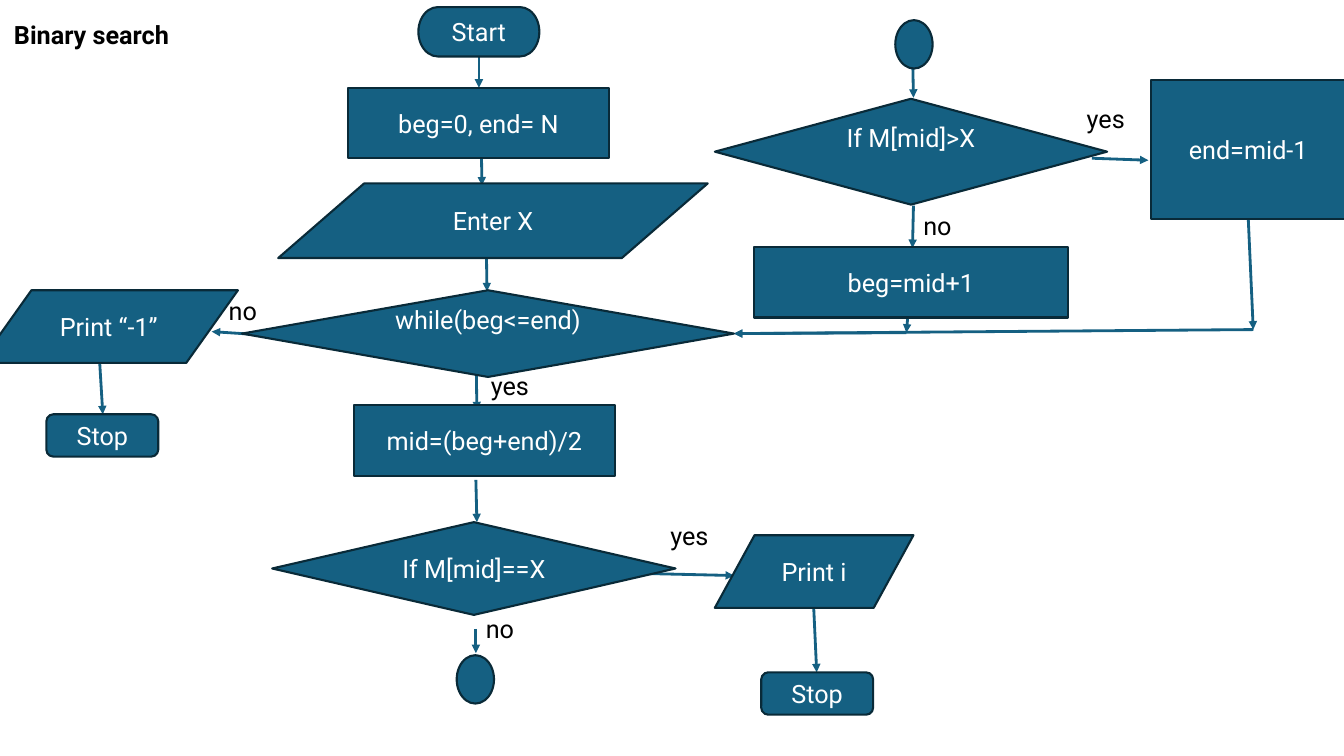
"""Build a one-slide flowchart of the binary search algorithm."""
from dataclasses import dataclass

from lxml.etree import SubElement
from pptx import Presentation
from pptx.dml.color import RGBColor
from pptx.enum.shapes import MSO_CONNECTOR, MSO_SHAPE as Preset
from pptx.enum.text import MSO_ANCHOR as Anchor, MSO_AUTO_SIZE, PP_ALIGN as Align
from pptx.oxml.ns import qn
from pptx.slide import Slide
from pptx.text.text import TextFrame
from pptx.util import Inches, Pt

FONT = "Roboto"
TEAL, DARK_TEAL, WHITE, BLACK = "156082", "092A38", "FFFFFF", "000000"


@dataclass(frozen=True)
class Node:
    preset: Preset
    left: float
    top: float
    width: float
    height: float
    text: str = ""
    bottom_inset: float = 0.05


@dataclass(frozen=True)
class Arrow:
    x1: float
    y1: float
    x2: float
    y2: float


@dataclass(frozen=True)
class Label:
    text: str
    left: float
    top: float
    width: float = 3.1
    height: float = 0.4
    bold: bool = False


LIFTED = 0.34
STOP_SIZE = (1.11, 0.42)
STEP_SIZE = (2.59, 0.7)
JOINT_SIZE = (0.37, 0.48)

NODES = [
    Node(Preset.FLOWCHART_TERMINATOR, 4.15, 0.07, 1.2, 0.49, "Start"),
    Node(Preset.FLOWCHART_CONNECTOR, 8.88, 0.2, *JOINT_SIZE),
    Node(Preset.FLOWCHART_ALTERNATE_PROCESS, 7.55, 6.67, *STOP_SIZE, "Stop"),
    Node(Preset.FLOWCHART_DECISION, 2.7, 5.18, 4, 0.92, "If M[mid]==X"),
    Node(Preset.FLOWCHART_PROCESS, 3.45, 0.87, *STEP_SIZE, "beg=0, end= N"),
    Node(Preset.FLOWCHART_DATA, 2.76, 1.82, 4.26, 0.74, "Enter X"),
    Node(Preset.FLOWCHART_DATA, 7.09, 5.31, 1.97, 0.72, "Print i"),
    Node(Preset.FLOWCHART_DECISION, 7.09, 0.98, 3.89, 1.05, "If M[mid]>X", LIFTED),
    Node(Preset.FLOWCHART_PROCESS, 7.48, 2.45, 3.11, 0.7, "beg=mid+1"),
    Node(Preset.FLOWCHART_PROCESS, 11.42, 0.79, 1.92, 1.38, "end=mid-1"),
    Node(Preset.FLOWCHART_PROCESS, 3.51, 4.02, *STEP_SIZE, "mid=(beg+end)/2"),
    Node(Preset.FLOWCHART_CONNECTOR, 4.53, 6.5, *JOINT_SIZE),
    Node(Preset.FLOWCHART_DECISION, 2.4, 2.88, 4.88, 0.86, "while(beg<=end)", LIFTED),
    Node(Preset.FLOWCHART_DATA, -0.2, 2.88, 2.56, 0.72, "Print “-1”"),
    Node(Preset.FLOWCHART_ALTERNATE_PROCESS, 0.46, 4.11, *STOP_SIZE, "Stop"),
]

ARROWS = [
    Arrow(4.75, 0.57, 4.75, 0.87),
    Arrow(4.77, 1.18, 4.78, 1.84),
    Arrow(4.82, 2.17, 4.83, 2.89),
    Arrow(4.72, 3.35, 4.73, 4.07),
    Arrow(4.72, 4.76, 4.73, 5.18),
    Arrow(4.72, 6.24, 4.72, 6.48),
    Arrow(6.41, 5.69, 7.28, 5.71),
    Arrow(8.07, 6.01, 8.1, 6.67),
    Arrow(2.56, 3.32, 2.1, 3.29),
    Arrow(0.98, 3.45, 1.02, 4.11),
    Arrow(9.05, 0.48, 9.06, 0.97),
    Arrow(9.06, 2.04, 9.05, 2.46),
    Arrow(10.83, 1.57, 11.39, 1.59),
    Arrow(12.38, 2.16, 12.43, 3.27),
    Arrow(12.43, 3.27, 7.28, 3.31),
    Arrow(9.02, 2.95, 8.99, 3.3),
    Arrow(8.99, 3.3, 7.28, 3.31),
]

LABELS = [
    Label("Binary search", 0.04, 0.14, 3, 1, bold=True),
    Label("no", 4.72, 6.04, 3.6),
    Label("yes", 6.55, 5.11),
    Label("yes", 10.68, 0.98),
    Label("no", 9.06, 2.04, 3),
    Label("yes", 4.77, 3.62),
    Label("no", 2.17, 2.88),
]


def color(value: str) -> RGBColor:
    """Turn a hex string into a colour."""
    return RGBColor.from_string(value)


def write(frame: TextFrame, text: str, ink: str, align: Align, bold: bool = False) -> None:
    """Put one run of text into a frame."""
    frame.word_wrap = True
    paragraph = frame.paragraphs[0]
    paragraph.alignment = align
    run = paragraph.add_run()
    run.text = text
    run.font.name = FONT
    run.font.size = Pt(18)
    run.font.bold = bold
    run.font.color.rgb = color(ink)


def draw_arrow(slide: Slide, arrow: Arrow) -> None:
    """Draw a hairline that ends in a triangle."""
    connector = slide.shapes.add_connector(
        MSO_CONNECTOR.STRAIGHT,
        *map(Inches, (arrow.x1, arrow.y1, arrow.x2, arrow.y2)))
    connector.line.color.rgb = color(TEAL)
    connector.line.width = Pt(0)
    properties = connector._element.spPr
    SubElement(properties.find(qn("a:ln")), qn("a:tailEnd"), type="triangle")
    SubElement(properties, qn("a:effectLst"))


def draw_node(slide: Slide, node: Node) -> None:
    """Draw a flowchart symbol with its text."""
    shape = slide.shapes.add_shape(
        node.preset, *map(Inches, (node.left, node.top, node.width, node.height)))
    shape.shadow.inherit = False
    shape.fill.solid()
    shape.fill.fore_color.rgb = color(TEAL)
    shape.line.color.rgb = color(DARK_TEAL)
    shape.line.width = Pt(1.5)
    if node.text:
        frame = shape.text_frame
        frame.vertical_anchor = Anchor.MIDDLE
        frame.margin_bottom = Inches(node.bottom_inset)
        write(frame, node.text, WHITE, Align.CENTER)


def draw_label(slide: Slide, label: Label) -> None:
    """Draw the title or a branch label."""
    box = slide.shapes.add_textbox(
        *map(Inches, (label.left, label.top, label.width, label.height)))
    box.text_frame.auto_size = MSO_AUTO_SIZE.SHAPE_TO_FIT_TEXT
    write(box.text_frame, label.text, BLACK, Align.LEFT, label.bold)


def main() -> None:
    """Build and save the presentation."""
    presentation = Presentation()
    presentation.slide_width = Inches(13.33)
    presentation.slide_height = Inches(7.5)
    slide = presentation.slides.add_slide(presentation.slide_layouts[6])
    for arrow in ARROWS:
        draw_arrow(slide, arrow)
    for node in NODES:
        draw_node(slide, node)
    for label in LABELS:
        draw_label(slide, label)
    presentation.save("out.pptx")


if __name__ == "__main__":
    main()
